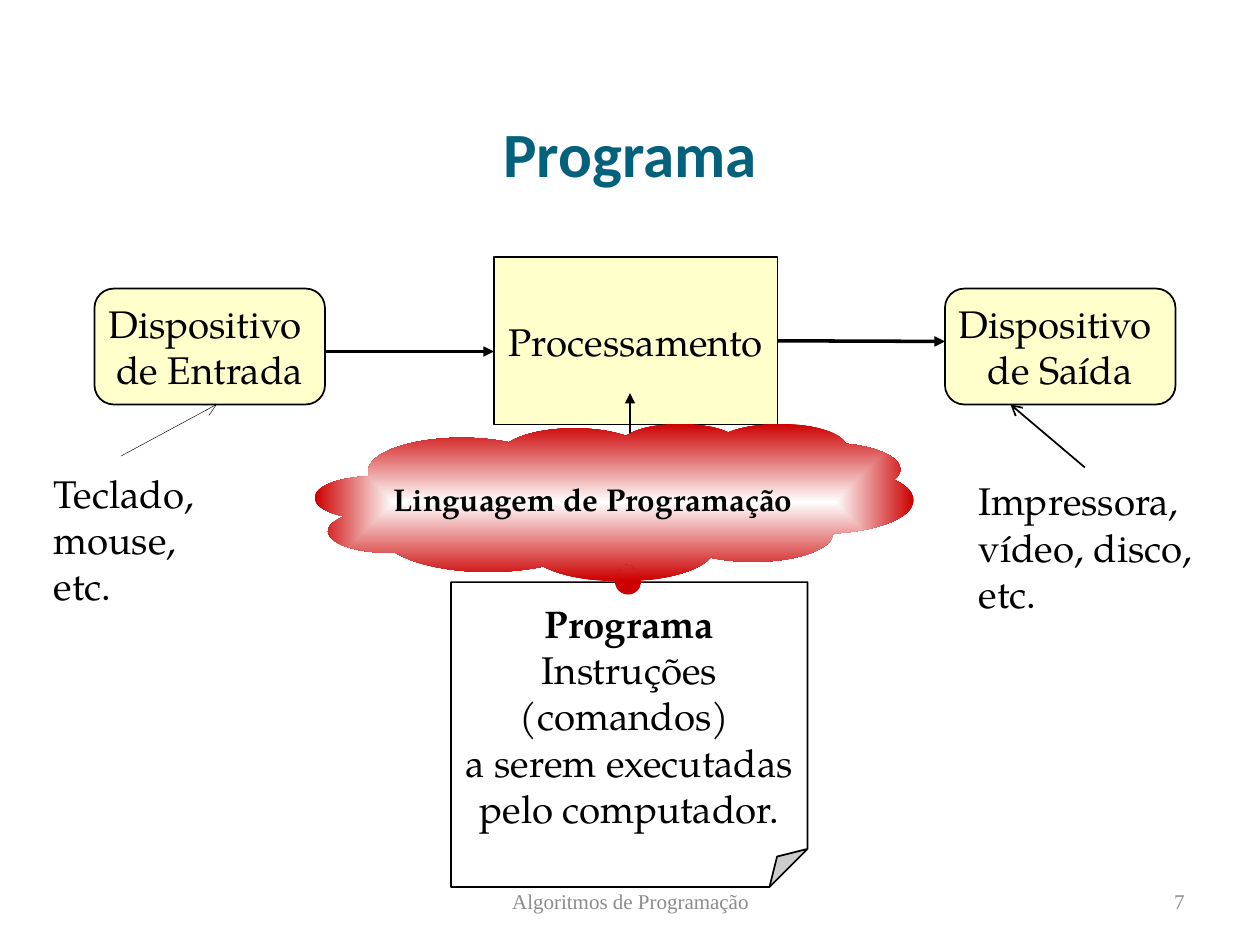
from dataclasses import dataclass, field
from typing import Optional

from lxml.etree import SubElement
from pptx import Presentation
from pptx.dml.color import RGBColor
from pptx.enum.shapes import MSO_CONNECTOR, MSO_SHAPE
from pptx.enum.text import MSO_ANCHOR, MSO_AUTO_SIZE, PP_ALIGN
from pptx.oxml.ns import qn
from pptx.util import Inches, Pt

BODY_FONT = "TeX Gyre Pagella"
FOOTER_FONT = "Times New Roman"
BLACK, CREAM, WHITE = "000000", "FFFFCC", "FFFFFF"
RED, TEAL, GRAY = "CC0000", "04617B", "8C8C8C"


@dataclass
class Line:
    text: str
    size: float = 22
    bold: bool = False
    font: str = BODY_FONT
    color: str = BLACK


@dataclass
class Node:
    kind: MSO_SHAPE
    box: tuple[float, float, float, float]
    lines: list[Line]
    fill: Optional[str] = CREAM
    wrap: bool = False
    guides: dict[str, int] = field(default_factory=dict)


@dataclass
class Label:
    box: tuple[float, float, float, float]
    line: Line
    alignment: PP_ALIGN = PP_ALIGN.LEFT
    anchor: MSO_ANCHOR = MSO_ANCHOR.TOP
    grow: bool = False


@dataclass
class Arrow:
    start: tuple[float, float]
    end: tuple[float, float]
    width: float
    head: str = "triangle"


def rgb(color: str) -> RGBColor:
    return RGBColor.from_string(color)


def write_lines(frame, lines: list[Line], alignment: PP_ALIGN, anchor: MSO_ANCHOR, wrap: bool = True) -> None:
    frame.word_wrap = wrap
    frame.vertical_anchor = anchor
    for index, line in enumerate(lines):
        paragraph = frame.add_paragraph() if index else frame.paragraphs[0]
        paragraph.alignment = alignment
        run = paragraph.add_run()
        run.text = line.text
        run.font.name = line.font
        run.font.size = Pt(line.size)
        run.font.bold = line.bold
        run.font.color.rgb = rgb(line.color)


def set_guides(shape, guides: dict[str, int]) -> None:
    geometry = shape._element.spPr.find(qn("a:prstGeom"))
    for old_list in geometry.findall(qn("a:avLst")):
        geometry.remove(old_list)
    guide_list = SubElement(geometry, qn("a:avLst"))
    for name, value in guides.items():
        SubElement(guide_list, qn("a:gd"), name=name, fmla=f"val {value}")


def add_node(slide, node: Node):
    shape = slide.shapes.add_shape(node.kind, *map(Inches, node.box))
    shape.shadow.inherit = False
    set_guides(shape, node.guides)
    if node.fill:
        shape.fill.solid()
        shape.fill.fore_color.rgb = rgb(node.fill)
        shape.line.color.rgb = rgb(BLACK)
        shape.line.width = Pt(1)
    else:
        shape.line.fill.background()
    write_lines(shape.text_frame, node.lines, PP_ALIGN.CENTER, MSO_ANCHOR.MIDDLE, node.wrap)
    return shape


def add_label(slide, label: Label) -> None:
    frame = slide.shapes.add_textbox(*map(Inches, label.box)).text_frame
    write_lines(frame, [label.line], label.alignment, label.anchor)
    if label.grow:
        frame.auto_size = MSO_AUTO_SIZE.SHAPE_TO_FIT_TEXT


def add_arrow(slide, arrow: Arrow):
    connector = slide.shapes.add_connector(
        MSO_CONNECTOR.STRAIGHT, *map(Inches, arrow.start + arrow.end)
    )
    connector.line.color.rgb = rgb(BLACK)
    connector.line.width = Pt(arrow.width)
    SubElement(connector.line._get_or_add_ln(), qn("a:tailEnd"), type=arrow.head)
    SubElement(connector._element.spPr, qn("a:effectLst"))
    return connector


def fill_from_center(shape, center: str, edge: str) -> None:
    shape.fill.gradient()
    for stop, color in zip(shape.fill.gradient_stops, (center, edge)):
        stop.color.rgb = rgb(color)
    gradient = shape._element.spPr.find(qn("a:gradFill"))
    gradient.remove(gradient.find(qn("a:lin")))
    rectangle = SubElement(gradient, qn("a:path"), path="rect")
    SubElement(rectangle, qn("a:fillToRect"), l="50000", t="50000", r="50000", b="50000")


def add_title(slide, line: Line) -> None:
    title = slide.shapes.title
    title.left, title.top, title.width, title.height = map(Inches, (0.75, 0.87, 8.5, 0.67))
    write_lines(title.text_frame, [line], PP_ALIGN.CENTER, MSO_ANCHOR.MIDDLE)


def device(left: float, name: str) -> Node:
    return Node(
        MSO_SHAPE.ROUNDED_RECTANGLE, (left, 2.29, 1.83, 0.92),
        [Line("Dispositivo "), Line(name)], guides={"adj": 16700},
    )


PROCESSING = Node(MSO_SHAPE.RECTANGLE, (3.92, 2.04, 2.25, 1.33), [Line("Processamento")])
DEVICES = [device(0.75, "de Entrada"), device(7.5, "de Saída")]
PROGRAM = Node(
    MSO_SHAPE.FOLDED_CORNER, (3.58, 4.62, 2.83, 2.42),
    [
        Line("Programa", bold=True),
        Line("Instruções (comandos) "),
        Line("a serem executadas pelo computador."),
    ],
    fill=WHITE, wrap=True, guides={"adj": 12500},
)
LANGUAGE = Node(
    MSO_SHAPE.CLOUD_CALLOUT, (2.5, 3.36, 4.75, 1.25),
    [Line("Linguagem de Programação", 18, True)],
    fill=None, guides={"adj1": 2100, "adj2": 45800},
)
LABELS = [
    Label((3.42, 6.95, 3.17, 0.4), Line("Algoritmos de Programação", 12, False, FOOTER_FONT, GRAY),
          PP_ALIGN.CENTER, MSO_ANCHOR.MIDDLE),
    Label((7.17, 6.95, 2.33, 0.4), Line("7", 12, False, FOOTER_FONT, GRAY),
          PP_ALIGN.RIGHT, MSO_ANCHOR.MIDDLE),
    Label((7.67, 3.74, 2.25, 1.21), Line("Impressora, vídeo, disco, etc."), grow=True),
    Label((0.33, 3.68, 1.67, 1.21), Line("Teclado, mouse, etc."), grow=True),
]
OUTPUT_ARROW = Arrow((6.17, 2.71), (7.5, 2.71), 2)
ARROWS = [
    Arrow((2.58, 2.79), (3.92, 2.79), 2),
    Arrow((8.61, 3.71), (8.02, 3.21), 1, "arrow"),
    Arrow((0.96, 3.62), (1.72, 3.21), 0.25, "arrow"),
    Arrow((5, 3.92), (5, 3.12), 1.5),
]


def main() -> None:
    presentation = Presentation()
    presentation.slide_width, presentation.slide_height = Inches(10), Inches(7.5)
    slide = presentation.slides.add_slide(presentation.slide_layouts[5])
    add_title(slide, Line("Programa", 36, True, "Calibri", TEAL))
    for label in LABELS:
        add_label(slide, label)
    processing = add_node(slide, PROCESSING)
    for node in DEVICES + [PROGRAM]:
        add_node(slide, node)
    add_arrow(slide, OUTPUT_ARROW).begin_connect(processing, 3)
    for arrow in ARROWS:
        add_arrow(slide, arrow)
    fill_from_center(add_node(slide, LANGUAGE), WHITE, RED)
    presentation.save("out.pptx")


if __name__ == "__main__":
    main()
